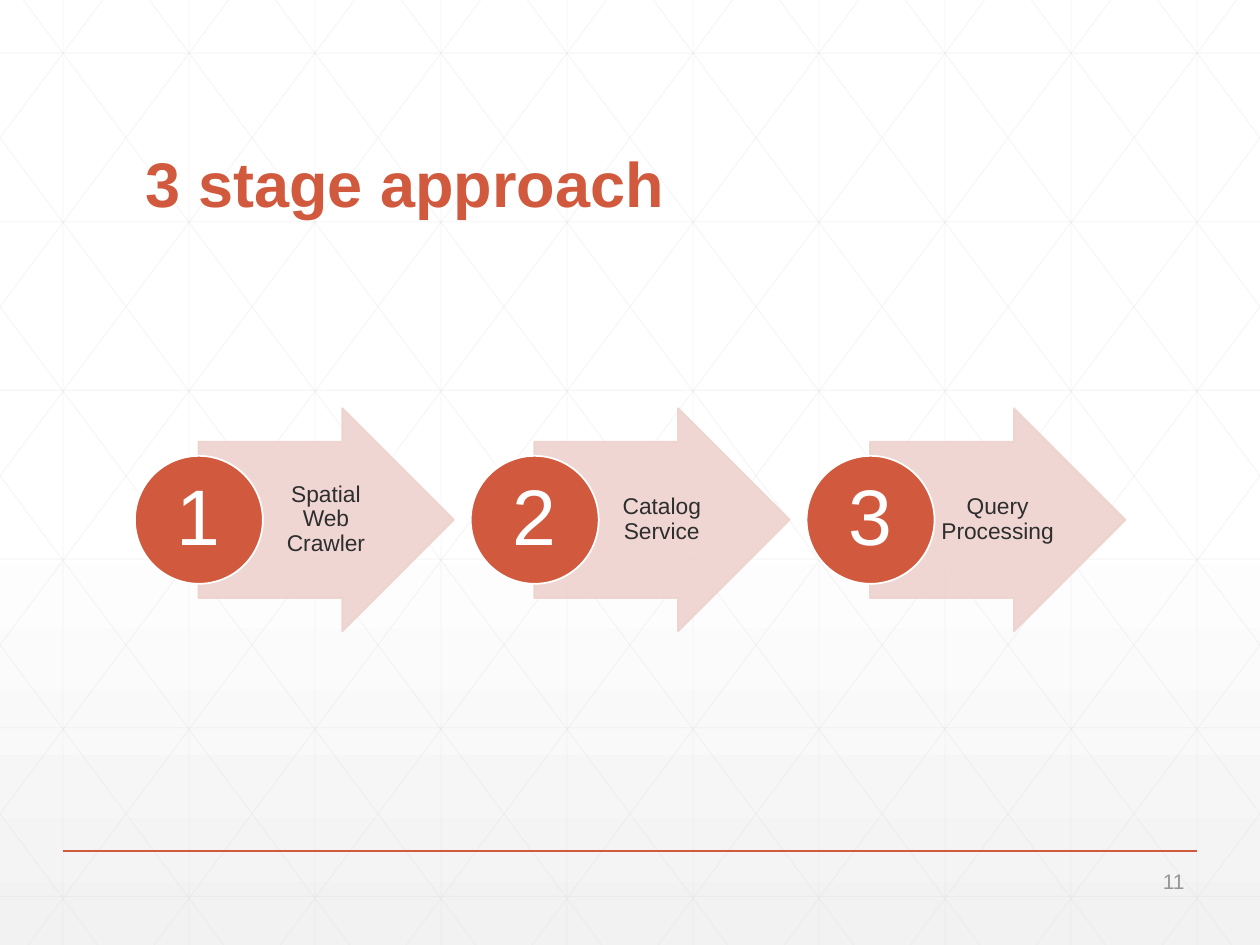
from lxml import etree
from pptx import Presentation
from pptx.dml.color import RGBColor
from pptx.enum.shapes import MSO_CONNECTOR, MSO_SHAPE
from pptx.enum.text import MSO_ANCHOR, PP_ALIGN
from pptx.oxml.ns import qn
from pptx.util import Cm, Pt

STRAIGHT = MSO_CONNECTOR.STRAIGHT
ARROW, OVAL = MSO_SHAPE.RIGHT_ARROW, MSO_SHAPE.OVAL
MIDDLE, BOTTOM = MSO_ANCHOR.MIDDLE, MSO_ANCHOR.BOTTOM
LEFT, CENTER, RIGHT = PP_ALIGN.LEFT, PP_ALIGN.CENTER, PP_ALIGN.RIGHT

WIDTH, HEIGHT = 25.4, 19.05
ACCENT, PALE, WHITE = "D15A3E", "EED2CE", "FFFFFF"
GRID, DARK, GREY = "D9D9D9", "2D2E2D", "959795"
STAGES = ["Spatial Web Crawler", "Catalog Service", "Query Processing"]


def color(value):
    return RGBColor.from_string(value)


def set_alpha(fill_parent, percent):
    """Make the solid fill inside the given XML element partly transparent."""
    clr = fill_parent.find(qn("a:solidFill"))[0]
    etree.SubElement(clr, qn("a:alpha"), val=str(percent * 1000))


def add_line(s, x1, y1, x2, y2, hex_color, width, alpha=100):
    line = s.shapes.add_connector(STRAIGHT, Cm(x1), Cm(y1), Cm(x2), Cm(y2))
    line.line.color.rgb = color(hex_color)
    line.line.width = Pt(width)
    if alpha < 100:
        set_alpha(line.line._get_or_add_ln(), alpha)
    etree.SubElement(line._element.spPr, qn("a:effectLst"))


def add_text(s, text, box, size, hex_color, align=CENTER, anchor=MIDDLE,
             insets=(0.25, 0.13, 0.25, 0.13), bold=False):
    tf = s.shapes.add_textbox(*map(Cm, box)).text_frame
    tf.word_wrap = True
    tf.vertical_anchor = anchor
    tf.margin_left, tf.margin_top, tf.margin_right, tf.margin_bottom = map(Cm, insets)
    p = tf.paragraphs[0]
    p.alignment = align
    p.line_spacing = 0.9
    r = p.add_run()
    r.text = text
    r.font.name = "Arial"
    r.font.size = Pt(size)
    r.font.bold = bold
    r.font.color.rgb = color(hex_color)


def add_shape(s, kind, box, fill, line):
    sp = s.shapes.add_shape(kind, *map(Cm, box))
    sp.shadow.inherit = False
    sp.fill.solid()
    sp.fill.fore_color.rgb = color(fill)
    sp.line.color.rgb = color(line)
    sp.line.width = Pt(1)
    return sp


def set_background(s):
    fill = s.background.fill
    fill.gradient()
    fill.gradient_angle = 270
    stops = s.background._cSld.find(".//" + qn("a:gsLst"))
    for stop in list(stops):
        stops.remove(stop)
    for position, value in [(0, WHITE), (53, WHITE), (100, "F2F2F2")]:
        stop = etree.SubElement(stops, qn("a:gs"), pos=str(position * 1000))
        etree.SubElement(stop, qn("a:srgbClr"), val=value)


def add_grid(s, width, height):
    """Faint triangular grid: verticals, horizontals and mirrored diagonals."""
    step, run = 2.54, 14.2
    lines = [(1.27 + step * i, 0, 1.27 + step * i, height) for i in range(10)]
    lines += [(0, 1.07 + 3.4 * i, width, 1.07 + 3.4 * i) for i in range(6)]
    for i in range(-5, 10):
        x = 0.47 + step * i
        start, end = max(0, -x / run), min(1, (width - x) / run)
        x1, x2 = x + run * start, x + run * end
        y1, y2 = height * start, height * end
        lines += [(x1, y1, x2, y2), (width - x1, y1, width - x2, y2)]
    for line in lines:
        add_line(s, *line, GRID, 0.5, alpha=25)


def add_stage(s, x, y, number, label):
    """One arrow with its label, and a numbered disc over its tail."""
    arrow = add_shape(s, ARROW, (x + 1.28, y, 5.15, 4.5), PALE, PALE)
    arrow.adjustments[0], arrow.adjustments[1] = 0.7, 0.5
    set_alpha(arrow._element.spPr, 90)
    set_alpha(arrow.line._get_or_add_ln(), 90)
    add_text(s, label, (x + 2.57, y + 0.67, 2.51, 3.15), 13, DARK,
             insets=(0.1, 0.03, 0.05, 0.03))
    add_shape(s, OVAL, (x, y + 0.96, 2.58, 2.58), ACCENT, WHITE)
    add_text(s, str(number), (x + 0.38, y + 1.34, 1.82, 1.82), 45, WHITE,
             insets=(0.08,) * 4)


def add_footer(s, x, y, width, number):
    add_line(s, x, y, x + width, y, ACCENT, 1)
    add_text(s, number, (x + width - 1.9, y + 0.33, 1.9, 0.61), 12, GREY, align=RIGHT)


def main():
    prs = Presentation()
    prs.slide_width, prs.slide_height = Cm(WIDTH), Cm(HEIGHT)
    s = prs.slides.add_slide(prs.slide_layouts[6])
    set_background(s)
    add_grid(s, WIDTH, HEIGHT)
    add_text(s, "3 stage approach", (2.69, 1.4, 20.02, 3.18), 36, ACCENT,
             align=LEFT, anchor=BOTTOM, bold=True)
    for i, label in enumerate(STAGES):
        add_stage(s, 2.72 + 6.77 * i, 8.23, i + 1, label)
    add_footer(s, 1.27, 17.15, 22.86, "11")
    prs.save("out.pptx")


if __name__ == "__main__":
    main()
